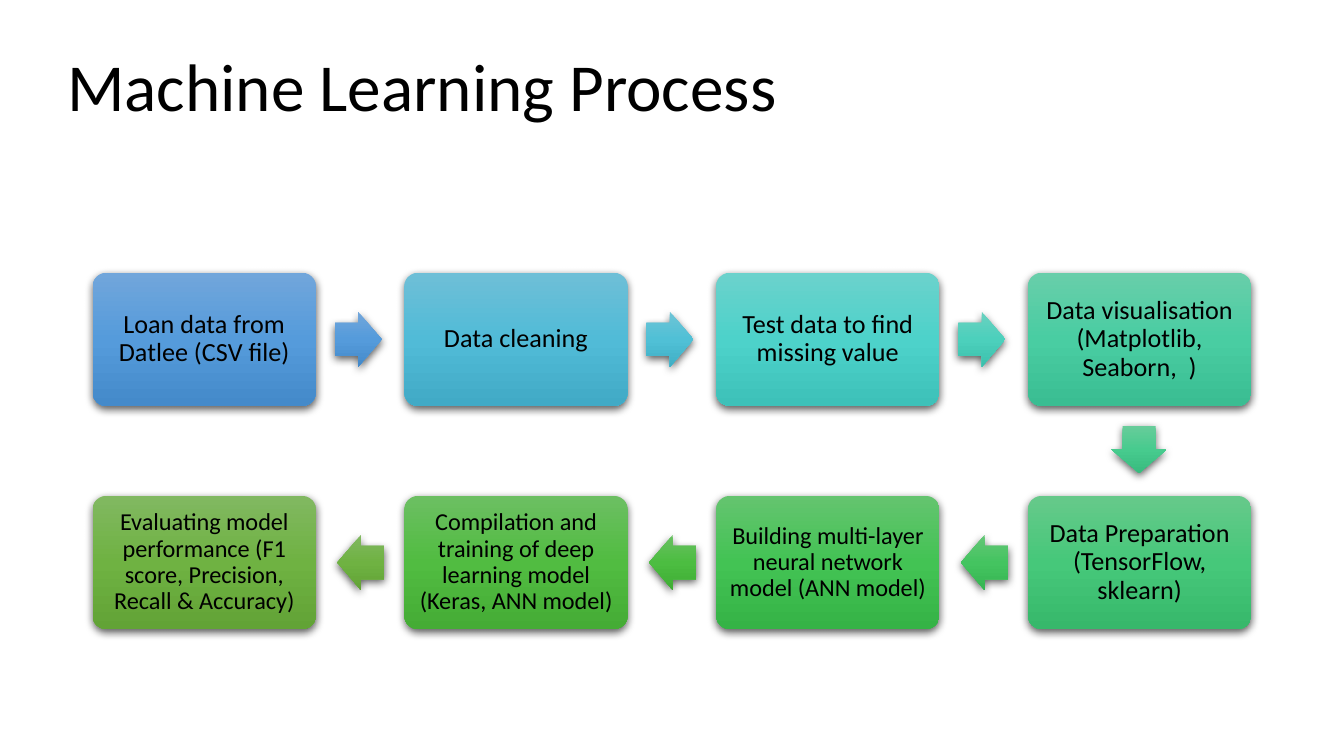
"""Build a slide showing the machine learning process as a two-row flow."""
import copy
from dataclasses import dataclass

import lxml.etree
import pptx
import pptx.dml.color
import pptx.enum.shapes
import pptx.enum.text
import pptx.oxml.ns
import pptx.util
from pptx.util import Inches

qn = pptx.oxml.ns.qn
SHAPE = pptx.enum.shapes.MSO_SHAPE
ALIGN = pptx.enum.text.PP_ALIGN
ANCHOR = pptx.enum.text.MSO_ANCHOR


@dataclass(frozen=True)
class Theme:
    """Type sizes, font and shared colours."""
    font: str = "Calibri"
    ink: str = "000000"
    shadow: str = "000000"
    title: int = 36
    step: int = 14
    step_small: int = 13


@dataclass(frozen=True)
class Step:
    """A box of the flow, placed by column and row."""
    text: str
    col: int
    row: int
    grad: tuple[str, str, str]
    size: int


@dataclass(frozen=True)
class Arrow:
    """A block arrow leading from one step to the next."""
    left: float
    top: float
    turn: int
    grad: tuple[str, str, str]


THEME = Theme()
SLIDE_W = 10
SLIDE_H = SLIDE_W * 9 / 16
LEFT, TOP = 0.69, 2.03
COL_PITCH, ROW_PITCH = 2.32, 1.66
BOX_W, BOX_H = 1.66, 0.99
ARROW_W, ARROW_H = 0.35, 0.41
RIGHT_X, LEFT_X = 2.49, 2.51
TOP_Y, BOTTOM_Y = 2.32, 3.98
OLIVE = ("81B861", "6FB242", "62A336")
BLUE = ("71A6DB", "559BDB", "448ACA")

STEPS = [
    Step("Loan data from Datlee (CSV file)", 0, 0, BLUE, THEME.step),
    Step("Data cleaning", 1, 0, ("6EBFD7", "51BBD7", "41AAC6"), THEME.step),
    Step("Test data to find missing value", 2, 0,
         ("6BD2CC", "4DD2CA", "3DC1B9"), THEME.step),
    Step("Data visualisation (Matplotlib, Seaborn,  )", 3, 0,
         ("68CEAA", "49CDA2", "3ABD92"), THEME.step),
    Step("Data Preparation (TensorFlow, sklearn)", 3, 1,
         ("66C98A", "46C87A", "37B86B"), THEME.step),
    Step("Building multi-layer neural network model (ANN model)", 2, 1,
         ("64C46F", "43C354", "35B346"), THEME.step_small),
    Step("Compilation and training of deep learning model (Keras, ANN model)", 1, 1,
         ("6CBF62", "51BC41", "45AC35"), THEME.step_small),
    Step("Evaluating model performance (F1 score, Precision, Recall & Accuracy)", 0, 1,
         OLIVE, THEME.step_small),
]

ARROWS = [
    Arrow(RIGHT_X, TOP_Y, 0, BLUE),
    Arrow(RIGHT_X + COL_PITCH, TOP_Y, 0, ("6EC4D6", "50C0D6", "40AFC5")),
    Arrow(RIGHT_X + 2 * COL_PITCH, TOP_Y, 0, ("6AD1C0", "4CD0BC", "3CC0AC")),
    Arrow(8.3, 3.14, 90, ("67CC9A", "47CB8E", "39BB7F")),
    Arrow(LEFT_X + 2 * COL_PITCH, BOTTOM_Y, 180, ("64C677", "44C460", "36B552")),
    Arrow(LEFT_X + COL_PITCH, BOTTOM_Y, 180, ("69C062", "4CBD41", "3FAD34")),
    Arrow(LEFT_X, BOTTOM_Y, 180, OLIVE),
]


def rgb(value: str) -> pptx.dml.color.RGBColor:
    """Turn a hex string into a colour."""
    return pptx.dml.color.RGBColor.from_string(value)


def add_run(p, text: str, size: int) -> None:
    """Add a run in the theme font."""
    r = p.add_run()
    r.text = text
    r.font.name = THEME.font
    r.font.size = pptx.util.Pt(size)
    r.font.color.rgb = rgb(THEME.ink)


def style(sp, grad: tuple[str, str, str]) -> None:
    """Give a shape a vertical three-stop gradient and a soft shadow."""
    sp.line.fill.background()
    sp.fill.gradient()
    sp.fill.gradient_angle = 270
    sp_pr = sp.element.spPr
    fill = sp_pr.find(qn("a:gradFill"))
    fill.set("rotWithShape", "0")
    stops = fill.find(qn("a:gsLst"))
    stops.append(copy.deepcopy(stops[-1]))
    for stop, color, position in zip(sp.fill.gradient_stops, grad, (0, 0.5, 1)):
        stop.color.rgb = rgb(color)
        stop.position = position
    sp.shadow.inherit = False
    shadow = lxml.etree.SubElement(
        sp_pr.find(qn("a:effectLst")), qn("a:outerShdw"),
        blurRad=str(pptx.util.Pt(4.5)), dist=str(pptx.util.Pt(1.5)),
        dir="5400000", algn="ctr", rotWithShape="0")
    color = lxml.etree.SubElement(shadow, qn("a:srgbClr"), val=THEME.shadow)
    lxml.etree.SubElement(color, qn("a:alpha"), val="63000")


def add_step(s, step: Step) -> None:
    """Draw a step box with its text."""
    sp = s.shapes.add_shape(
        SHAPE.ROUNDED_RECTANGLE,
        Inches(LEFT + step.col * COL_PITCH), Inches(TOP + step.row * ROW_PITCH),
        Inches(BOX_W), Inches(BOX_H))
    sp.adjustments[0] = 0.1
    style(sp, step.grad)
    tf = sp.text_frame
    tf.word_wrap = True
    tf.vertical_anchor = ANCHOR.MIDDLE
    inset = Inches(0.06 if step.size == THEME.step else 0.05)
    tf.margin_left = tf.margin_right = tf.margin_top = tf.margin_bottom = inset
    p = tf.paragraphs[0]
    p.alignment = ALIGN.CENTER
    p.line_spacing = 0.9
    add_run(p, step.text, step.size)


def add_arrow(s, arrow: Arrow) -> None:
    """Draw a block arrow."""
    sp = s.shapes.add_shape(
        SHAPE.RIGHT_ARROW, Inches(arrow.left), Inches(arrow.top),
        Inches(ARROW_W), Inches(ARROW_H))
    sp.adjustments[0], sp.adjustments[1] = 0.6, 0.5
    sp.rotation = arrow.turn
    style(sp, arrow.grad)


def set_title(s, text: str) -> None:
    """Place and format the title placeholder."""
    sp = s.shapes.title
    sp.left, sp.top = Inches(0.4), Inches(0.28)
    sp.width, sp.height = Inches(6.54), Inches(0.84)
    tf = sp.text_frame
    tf.auto_size = pptx.enum.text.MSO_AUTO_SIZE.NONE
    tf.vertical_anchor = ANCHOR.TOP
    p = tf.paragraphs[0]
    p.alignment = ALIGN.LEFT
    add_run(p, text, THEME.title)


def main() -> None:
    """Build and save the presentation."""
    prs = pptx.Presentation()
    prs.slide_width, prs.slide_height = Inches(SLIDE_W), Inches(SLIDE_H)
    s = prs.slides.add_slide(prs.slide_layouts[5])
    set_title(s, "Machine Learning Process")
    for step in STEPS:
        add_step(s, step)
    for arrow in ARROWS:
        add_arrow(s, arrow)
    prs.save("out.pptx")


if __name__ == "__main__":
    main()
